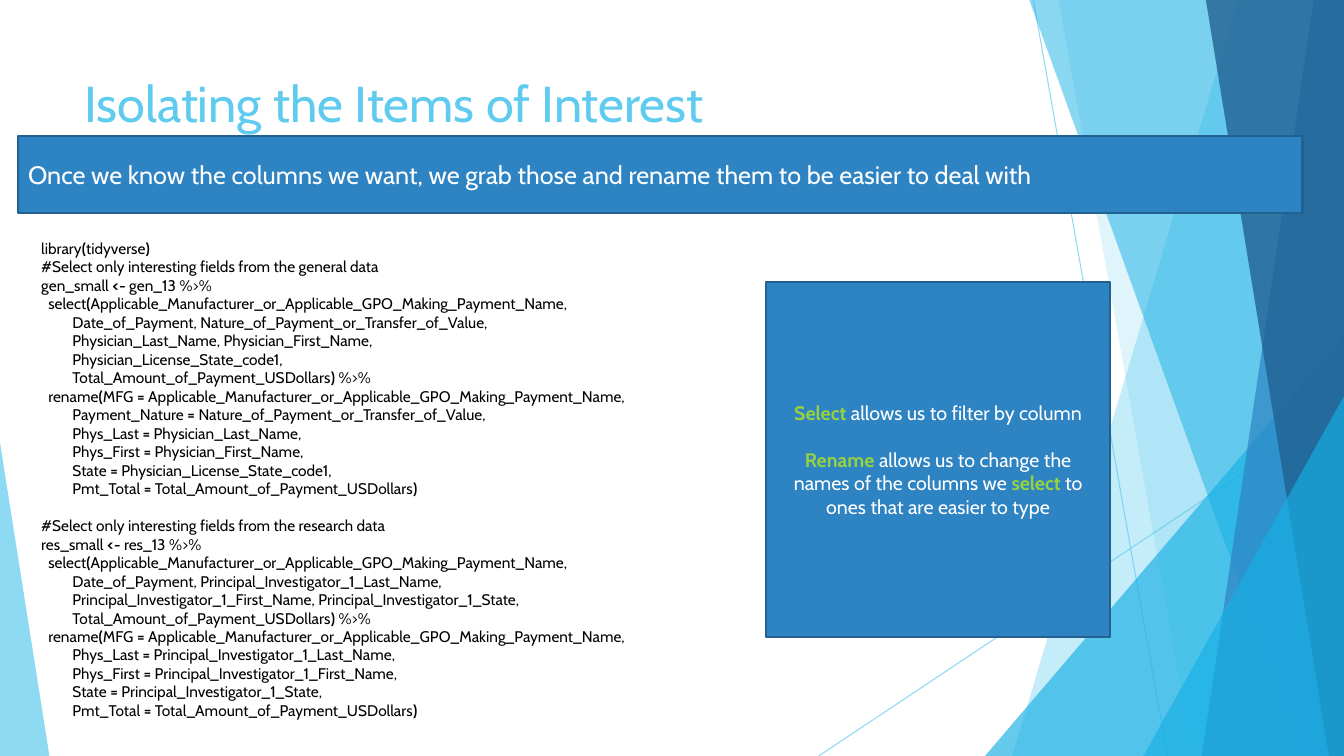
from lxml import etree
from pptx import Presentation
from pptx.dml.color import RGBColor
from pptx.enum.shapes import MSO_CONNECTOR, MSO_SHAPE
from pptx.enum.text import MSO_ANCHOR, PP_ALIGN
from pptx.oxml.ns import qn
from pptx.util import Inches, Pt

STRAIGHT = MSO_CONNECTOR.STRAIGHT
TRIANGLE = MSO_SHAPE.ISOSCELES_TRIANGLE
RECTANGLE = MSO_SHAPE.RECTANGLE
MIDDLE = MSO_ANCHOR.MIDDLE
TOP = MSO_ANCHOR.TOP
LEFT = PP_ALIGN.LEFT
CENTER = PP_ALIGN.CENTER

WIDTH, HEIGHT = Inches(13.33), Inches(7.5)
FONT = "Cabin"
SKY, CYAN, BLUE, NAVY = "5FCBEF", "17B0E4", "2E83C3", "226292"
BORDER, GREEN, WHITE, BLACK = "226190", "96D141", "FFFFFF", "000000"
INDENTS = [0, 0.07, 0.31]

GENERAL_CODE = [
    (0, "library*(*tidyverse*)*"),
    (0, "#Select only interesting fields from the general data"),
    (0, "gen_small *<-* gen_13 %>%"),
    (1, "select*(*Applicable_Manufacturer_or_Applicable_GPO_Making_Payment_Name,"),
    (2, "Date_of_Payment, Nature_of_Payment_or_Transfer_of_Value,"),
    (2, "Physician_Last_Name, Physician_First_Name,"),
    (2, "Physician_License_State_code1,"),
    (2, "Total_Amount_of_Payment_USDollars*)* %>%"),
    (1, "rename*(*MFG *=* Applicable_Manufacturer_or_Applicable_GPO_Making_Payment_Name,"),
    (2, "Payment_Nature *=* Nature_of_Payment_or_Transfer_of_Value,"),
    (2, "Phys_Last *=* Physician_Last_Name,"),
    (2, "Phys_First *=* Physician_First_Name,"),
    (2, "State *=* Physician_License_State_code1,"),
    (2, "Pmt_Total *=* Total_Amount_of_Payment_USDollars*)*"),
]
RESEARCH_CODE = [
    (0, "#Select only interesting fields from the research data"),
    (0, "res_small *<-* res_13 %>%"),
    (1, "select*(*Applicable_Manufacturer_or_Applicable_GPO_Making_Payment_Name,"),
    (2, "Date_of_Payment, Principal_Investigator_1_Last_Name,"),
    (2, "Principal_Investigator_1_First_Name, Principal_Investigator_1_State,"),
    (2, "Total_Amount_of_Payment_USDollars*)* %>%"),
    (1, "rename*(*MFG *=* Applicable_Manufacturer_or_Applicable_GPO_Making_Payment_Name,"),
    (2, "Phys_Last *=* Principal_Investigator_1_Last_Name,"),
    (2, "Phys_First *=* Principal_Investigator_1_First_Name,"),
    (2, "State *=* Principal_Investigator_1_State,"),
    (2, "Pmt_Total *=* Total_Amount_of_Payment_USDollars*)*"),
]


def rgb(color):
    return RGBColor.from_string(color)


def across(share):
    return round(WIDTH * share / 100)


def down(share):
    return round(HEIGHT * share / 100)


def place(left, top, width, height):
    return across(left), down(top), across(width), down(height)


def set_opacity(drawn, opacity):
    for color in drawn._element.spPr.iter(qn("a:srgbClr")):
        etree.SubElement(color, qn("a:alpha"), val=str(opacity * 1000))


def tint(facet, color, opacity):
    facet.shadow.inherit = False
    facet.fill.solid()
    facet.fill.fore_color.rgb = rgb(color)
    facet.line.fill.background()
    set_opacity(facet, opacity)


def add_ray(slide, x1, y1, x2, y2):
    ray = slide.shapes.add_connector(STRAIGHT, across(x1), down(y1), across(x2), down(y2))
    ray.line.color.rgb = rgb(SKY)
    ray.line.width = Pt(0.75)
    set_opacity(ray, 70)
    etree.SubElement(ray._element.spPr, qn("a:effectLst"))


def add_panel(slide, top_left, bottom_left, color, opacity):
    outline = slide.shapes.build_freeform(across(top_left), 0)
    outline.add_line_segments([(WIDTH, 0), (WIDTH, HEIGHT), (across(bottom_left), HEIGHT)])
    tint(outline.convert_to_shape(), color, opacity)


def add_wedge(slide, left, top, width, apex, color, opacity):
    wedge = slide.shapes.add_shape(TRIANGLE, *place(left, top, width, 100 - top))
    wedge.adjustments[0] = apex
    tint(wedge, color, opacity)


def add_backdrop(slide):
    add_ray(slide, 76.89, 0, 86.87, 100)
    add_ray(slide, 100, 53.73, 60.92, 100)
    add_panel(slide, 92.12, 75.32, SKY, 36)
    add_panel(slide, 78.77, 88.75, SKY, 20)
    add_wedge(slide, 73.29, 44.4, 26.71, 1, CYAN, 66)
    add_panel(slide, 76.59, 96.85, CYAN, 50)
    add_panel(slide, 97.75, 89.42, BLUE, 70)
    add_panel(slide, 89.72, 98.87, NAVY, 80)
    add_wedge(slide, 85.07, 52.4, 14.93, 1, CYAN, 66)
    add_wedge(slide, 0, 58.53, 3.68, 0, SKY, 70)


def highlight(run):
    marker = etree.SubElement(run.font._element, qn("a:highlight"))
    etree.SubElement(marker, qn("a:srgbClr"), val=WHITE)


def write(frame, lines, size, color, accent=None, align=LEFT, anchor=TOP,
          breaks=(), marked=False):
    frame.word_wrap = True
    frame.vertical_anchor = anchor
    for number, (level, line) in enumerate(lines):
        paragraph = frame.paragraphs[0] if number == 0 else frame.add_paragraph()
        paragraph.alignment = align
        paragraph.font.name = FONT
        paragraph.font.size = Pt(size)
        paragraph.font.color.rgb = rgb(color)
        if level:
            paragraph._p.get_or_add_pPr().set("marL", str(Inches(INDENTS[level])))
        if number in breaks:
            paragraph.space_before = Pt(size * 1.2)
        for position, words in enumerate(line.split("*")):
            if not words:
                continue
            run = paragraph.add_run()
            run.text = words
            if position % 2:
                run.font.bold = True
                if accent:
                    run.font.color.rgb = rgb(accent)
            if marked:
                highlight(run)


def add_text(slide, area, lines, size, color, **style):
    write(slide.shapes.add_textbox(*place(*area)).text_frame, lines, size, color, **style)


def add_box(slide, area, lines, size, **style):
    box = slide.shapes.add_shape(RECTANGLE, *place(*area))
    box.shadow.inherit = False
    box.fill.solid()
    box.fill.fore_color.rgb = rgb(BLUE)
    box.line.color.rgb = rgb(BORDER)
    box.line.width = Pt(1.5)
    write(box.text_frame, lines, size, WHITE, anchor=MIDDLE, **style)


def main():
    deck = Presentation()
    deck.slide_width, deck.slide_height = WIDTH, HEIGHT
    slide = deck.slides.add_slide(deck.slide_layouts[6])
    add_backdrop(slide)
    add_text(slide, (5.55, 8.93, 73.29, 19.2),
             [(0, "Isolating the Items of Interest")], 36, SKY)
    add_box(slide, (1.35, 18, 95.57, 10.13),
            [(0, "Once we know the columns we want, we grab those and rename them "
                 "to be easier to deal with")], 18)
    add_text(slide, (2.33, 30.93, 50.04, 65.47), GENERAL_CODE + RESEARCH_CODE, 11, BLACK,
             breaks=[len(GENERAL_CODE)], marked=True)
    add_box(slide, (57.01, 37.33, 25.58, 46.93),
            [(0, "*Select* allows us to filter by column"),
             (0, "*Rename* allows us to change the names of the columns we *select* "
                 "to ones that are easier to type")],
            14, accent=GREEN, align=CENTER, breaks=[1])
    deck.save("out.pptx")


main()
